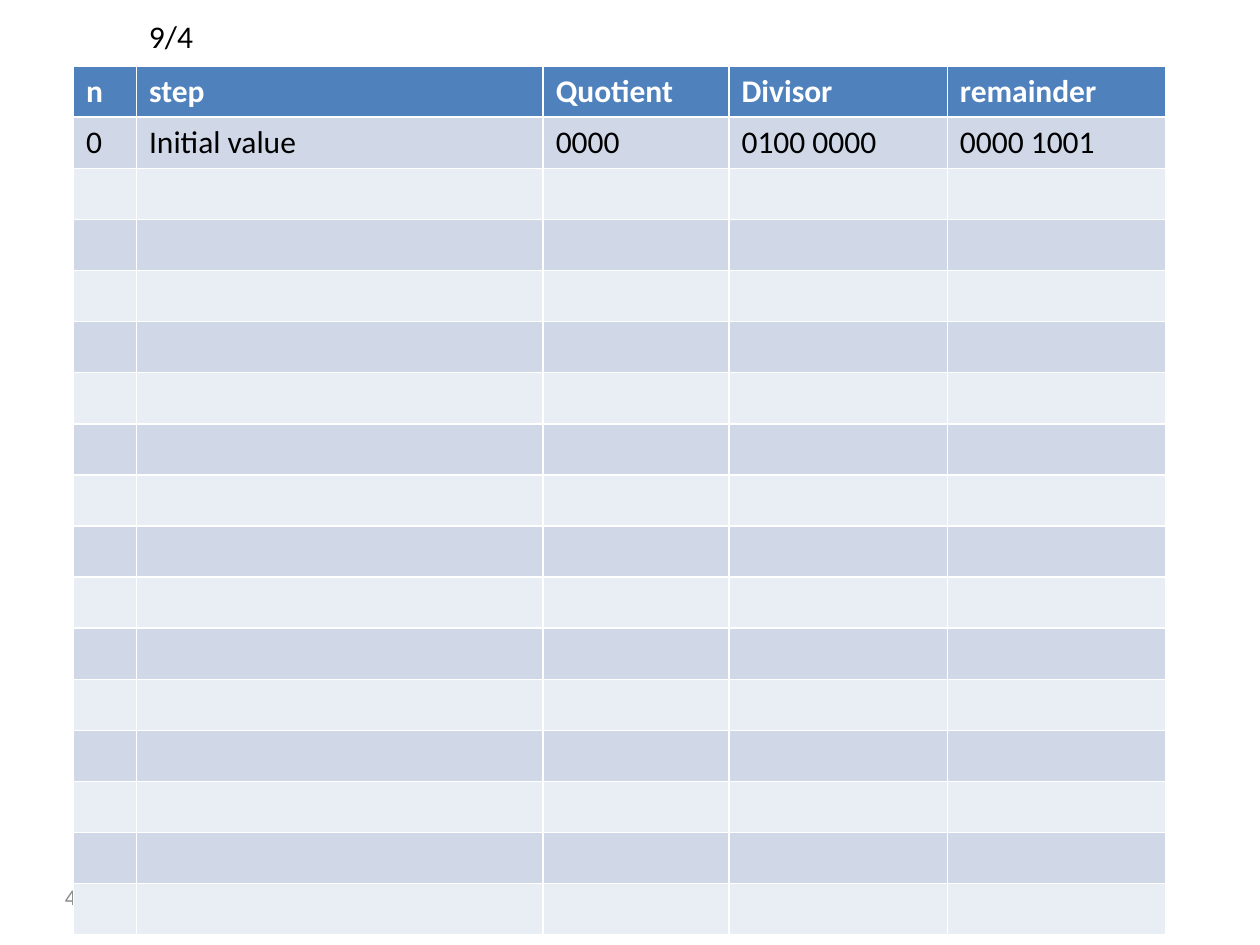
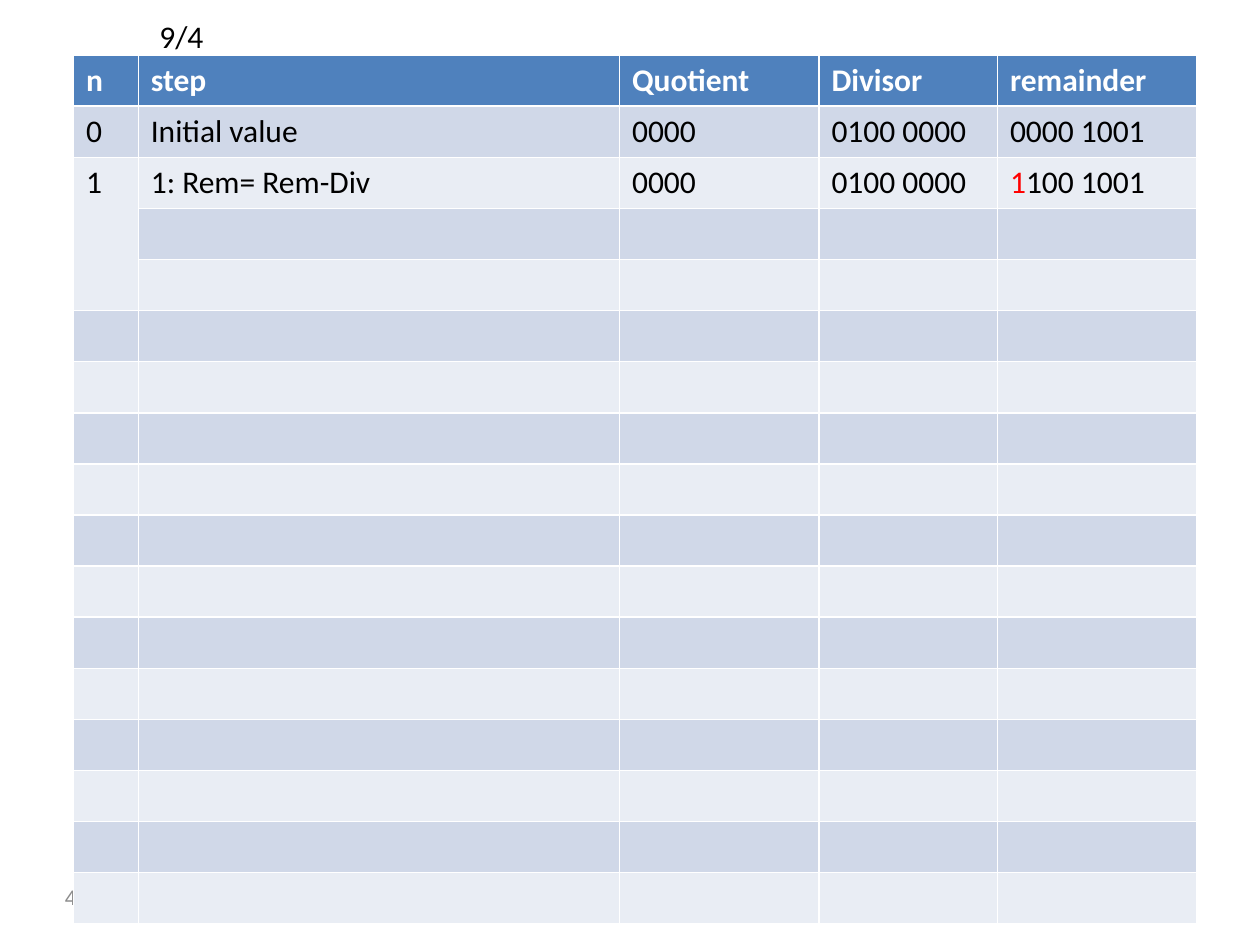
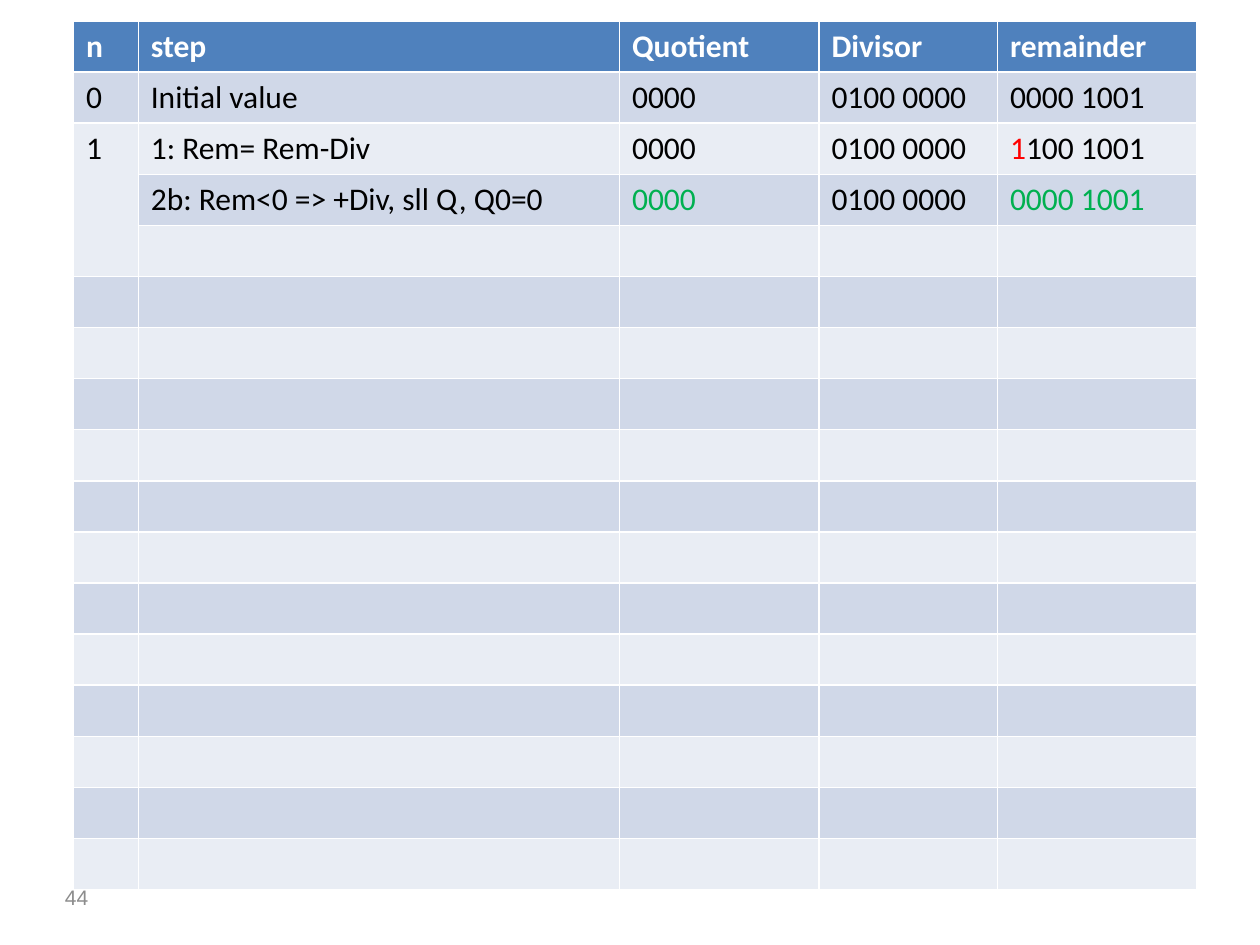
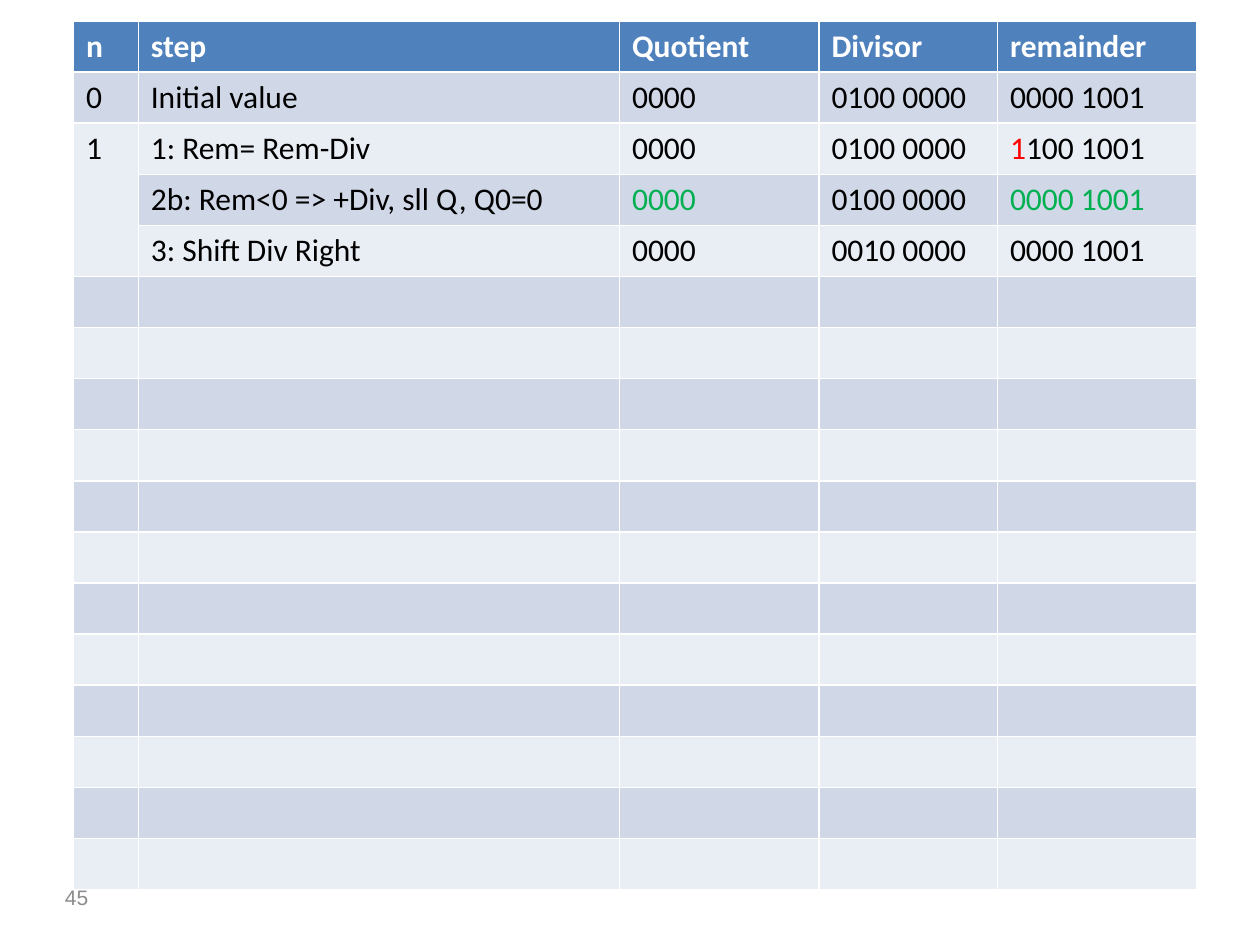
from pptx import Presentation
from pptx.dml.color import RGBColor
from pptx.enum.text import MSO_ANCHOR, MSO_AUTO_SIZE
from pptx.util import Pt

# Shared colours
WHITE, BLACK, GREY = "FFFFFF", "000000", "8C8C8C"
HEADER, BANDS = "4F81BD", ("E9EDF4", "D0D8E8")
RED, GREEN = "FF0000", "00B050"

# Shared boxes and sizes, in points: left, top, width, height
NUMBER_BOX = (30, 498, 168, 28.8)
TABLE_LEFT, ROW_HEIGHT, ROW_COUNT = 42, 29.2, 17
FIRST_COLS = (36, 232.4, 106.2, 124.8, 124.8)
STEP_COLS = (37, 275, 114, 102, 114)

# Division steps; a cell is a string or a list of (text, colour) runs
HEADINGS = ["n", "step", "Quotient", "Divisor", "remainder"]
STEPS = [
    ["0", "Initial value", "0000", "0100 0000", "0000 1001"],
    ["1", "1: Rem= Rem-Div", "0000", "0100 0000", [("1", RED), ("100 1001", BLACK)]],
    ["", "2b: Rem<0 => +Div, sll Q, Q0=0", [("0000", GREEN)], "0100 0000",
     [("0000 1001", GREEN)]],
    ["", "3: Shift Div Right", "0000", "0010 0000", "0000 1001"],
]

# Per slide: number, table top, column widths, steps shown, problem box
SLIDES = [
    (42, 37.8, FIRST_COLS, 1, (78, 6, 132, 28.8)),
    (43, 31.5, STEP_COLS, 2, (84, 6, 204, 28.8)),
    (44, 12, STEP_COLS, 3, None),
    (45, 12, STEP_COLS, 4, None),
]


def rgb(value):
    return RGBColor.from_string(value)


def add_text(tf, text, size=18, font="Calibri", color=BLACK, bold=False):
    """Add a run to the first paragraph of a text frame."""
    r = tf.paragraphs[0].add_run()
    r.text = text
    r.font.size = Pt(size)
    r.font.name = font
    r.font.bold = bold
    r.font.color.rgb = rgb(color)


def add_box(s, box):
    tf = s.shapes.add_textbox(*map(Pt, box)).text_frame
    tf.word_wrap = True
    return tf


def add_number(s, number, box):
    tf = add_box(s, box)
    tf.vertical_anchor = MSO_ANCHOR.MIDDLE
    add_text(tf, str(number), size=12, font="Arial", color=GREY)


def add_problem(s, box):
    tf = add_box(s, box)
    tf.auto_size = MSO_AUTO_SIZE.SHAPE_TO_FIT_TEXT
    add_text(tf, "9/4")


def add_step_table(s, left, top, widths, steps):
    box = (left, top, sum(widths), ROW_COUNT * ROW_HEIGHT)
    table = s.shapes.add_table(ROW_COUNT, len(widths), *map(Pt, box)).table
    for col, width in zip(table.columns, widths):
        col.width = Pt(width)

    # Header, filled steps, then blank rows to work in
    blank = [[""] * len(widths)] * (ROW_COUNT - 1 - len(steps))
    for i, values in enumerate([HEADINGS] + steps + blank):
        table.rows[i].height = Pt(ROW_HEIGHT)
        for j, value in enumerate(values):
            cell = table.cell(i, j)
            cell.fill.solid()
            cell.fill.fore_color.rgb = rgb(BANDS[i % 2] if i else HEADER)
            color = BLACK if i else WHITE
            runs = [(value, color)] if isinstance(value, str) else value
            for text, run_color in runs:
                if text:
                    add_text(cell.text_frame, text, color=run_color, bold=i == 0)

    # The first iteration spans its three steps
    if len(steps) > 1:
        table.cell(2, 0).merge(table.cell(4, 0))


def add_division_slide(prs, number, top, widths, shown, problem_box):
    s = prs.slides.add_slide(prs.slide_layouts[6])
    add_number(s, number, NUMBER_BOX)
    add_step_table(s, TABLE_LEFT, top, widths, STEPS[:shown])
    if problem_box:
        add_problem(s, problem_box)


def main():
    prs = Presentation()
    prs.slide_width, prs.slide_height = Pt(720), Pt(540)
    for slide in SLIDES:
        add_division_slide(prs, *slide)
    prs.save("out.pptx")


if __name__ == "__main__":
    main()
